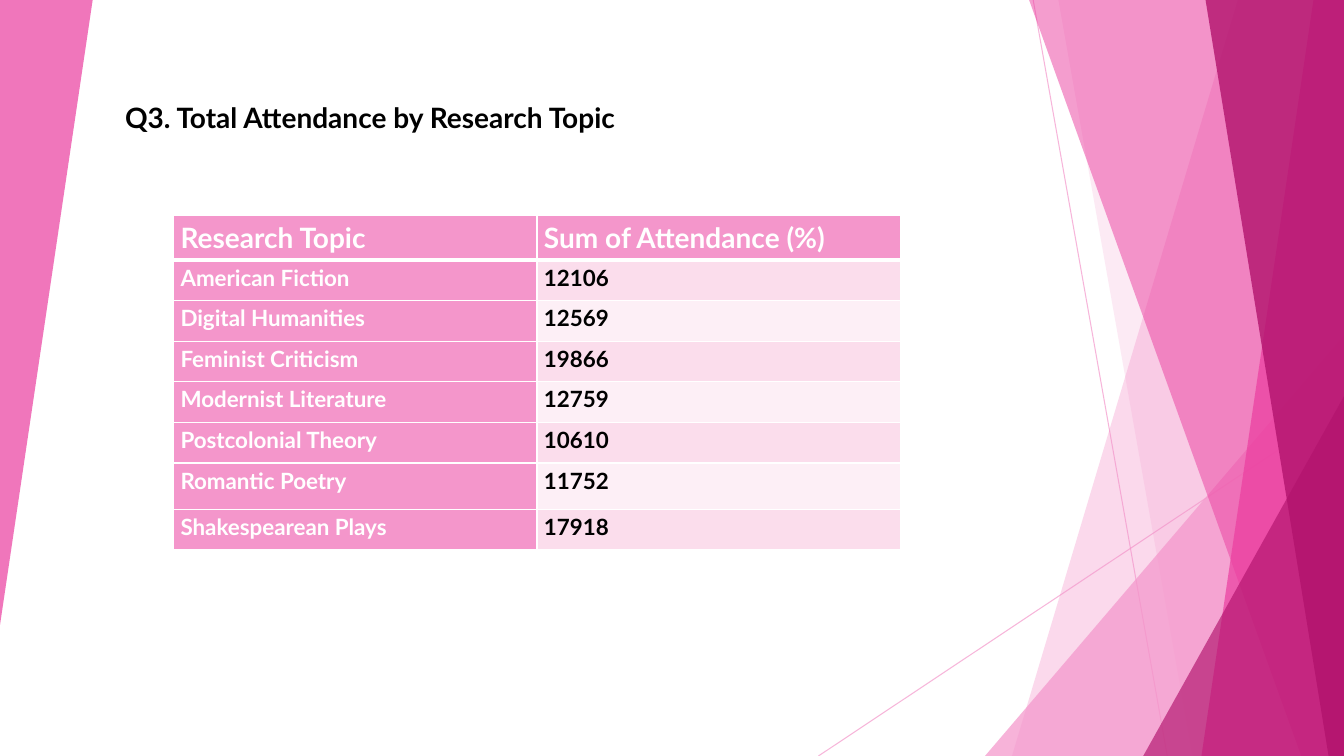
from dataclasses import dataclass
from typing import Union

from lxml.etree import SubElement
from pptx import Presentation
from pptx.dml.color import RGBColor
from pptx.enum.shapes import MSO_CONNECTOR, MSO_SHAPE
from pptx.enum.text import MSO_ANCHOR, MSO_AUTO_SIZE, PP_ALIGN
from pptx.oxml import parse_xml
from pptx.oxml.ns import nsdecls, qn
from pptx.util import Pt

PAGE_WIDTH, PAGE_HEIGHT = 960, 540
FONT = "Lato"
COLOURS = {
    "pink": "F496CB",
    "magenta": "EB3D9F",
    "plum": "B2136D",
    "band_dark": "FBDDEC",
    "band_light": "FDEFF6",
    "white": "FFFFFF",
    "black": "000000",
}


@dataclass
class Ray:
    start: tuple[float, float]
    end: tuple[float, float]


@dataclass
class Facet:
    """A full-height pane that reaches the right edge of the page."""
    top_left: float
    bottom_left: float
    colour: str
    opacity: int


@dataclass
class Wedge:
    """A right triangle with its upright side on the right before rotation."""
    left: float
    top: float
    width: float
    height: float
    colour: str
    opacity: int
    rotation: int = 0


RAYS = [Ray((738, 0), (833.8, 540)), Ray((960, 290.2), (584.6, 540))]
PANES = [
    Facet(884.2, 722.9, "pink", 36),
    Facet(756, 851.8, "pink", 20),
    Wedge(703.6, 239.8, 256.4, 300.2, "pink", 72),
    Facet(735.1, 929.5, "magenta", 50),
    Facet(938.2, 858.2, "magenta", 70),
    Facet(861.1, 949, "plum", 80),
    Wedge(816.6, 283, 143.4, 257, "plum", 66),
    Wedge(0, 0, 66.2, 446.4, "magenta", 70, 180),
]
ATTENDANCE = [
    ("Research Topic", "Sum of Attendance (%)"),
    ("American Fiction", "12106"),
    ("Digital Humanities", "12569"),
    ("Feminist Criticism", "19866"),
    ("Modernist Literature", "12759"),
    ("Postcolonial Theory", "10610"),
    ("Romantic Poetry", "11752"),
    ("Shakespearean Plays", "17918"),
]
ROW_HEIGHTS = [31.6] + [29] * 5 + [33.1, 29]


def rgb(colour: str) -> RGBColor:
    return RGBColor.from_string(COLOURS[colour])


def set_opacity(fill_owner, opacity: int) -> None:
    colour = next(fill_owner.iter(qn("a:srgbClr")))
    SubElement(colour, qn("a:alpha")).set("val", str(opacity * 1000))


def draw_ray(page, ray: Ray) -> None:
    line = page.shapes.add_connector(
        MSO_CONNECTOR.STRAIGHT, *(Pt(value) for value in ray.start + ray.end))
    line.line.color.rgb = rgb("pink")
    line.line.width = Pt(0.75)
    properties = line._element.spPr
    set_opacity(properties, 70)
    SubElement(properties, qn("a:effectLst"))


def draw_pane(page, pane: Union[Facet, Wedge]) -> None:
    if isinstance(pane, Facet):
        outline = page.shapes.build_freeform(Pt(pane.top_left), 0)
        corners = [(PAGE_WIDTH, 0), (PAGE_WIDTH, PAGE_HEIGHT),
                   (pane.bottom_left, PAGE_HEIGHT)]
        outline.add_line_segments([(Pt(x), Pt(y)) for x, y in corners])
        shape = outline.convert_to_shape()
    else:
        shape = page.shapes.add_shape(
            MSO_SHAPE.ISOSCELES_TRIANGLE, Pt(pane.left), Pt(pane.top),
            Pt(pane.width), Pt(pane.height))
        shape.adjustments[0] = 1
        shape.rotation = pane.rotation
    shape.shadow.inherit = False
    shape.fill.solid()
    shape.fill.fore_color.rgb = rgb(pane.colour)
    shape.line.fill.background()
    set_opacity(shape._element.spPr, pane.opacity)


def format_text(frame, size: float, colour: str) -> None:
    for paragraph in frame.paragraphs:
        paragraph.alignment = PP_ALIGN.LEFT
        for span in paragraph.runs:
            span.font.name = FONT
            span.font.size = Pt(size)
            span.font.bold = True
            span.font.color.rgb = rgb(colour)


def write_title(page, text: str) -> None:
    title = page.shapes.title
    title.left, title.top = Pt(82.1), Pt(68.4)
    title.width, title.height = Pt(589), Pt(31.7)
    frame = title.text_frame
    frame.text = text
    frame.word_wrap = True
    frame.auto_size = MSO_AUTO_SIZE.SHAPE_TO_FIT_TEXT
    frame.vertical_anchor = MSO_ANCHOR.TOP
    format_text(frame, 20, "black")


def set_borders(cell, top: float, bottom: float) -> None:
    """Give the cell white edges; the side edges are 1 point wide."""
    properties = cell._tc.get_or_add_tcPr()
    edges = [("lnL", 1), ("lnR", 1), ("lnT", top), ("lnB", bottom)]
    for position, (edge, width) in enumerate(edges):
        properties.insert(position, parse_xml(
            f'<a:{edge} {nsdecls("a")} w="{Pt(width)}"><a:solidFill>'
            f'<a:srgbClr val="{COLOURS["white"]}"/></a:solidFill></a:{edge}>'))


def cell_fill(row: int, column: int) -> str:
    if row == 0 or column == 0:
        return "pink"
    return "band_dark" if row % 2 else "band_light"


def draw_table(page) -> None:
    table = page.shapes.add_table(
        len(ATTENDANCE), 2, Pt(124), Pt(154.2), Pt(519.2),
        Pt(sum(ROW_HEIGHTS))).table
    table.first_col = True
    for row, (texts, height) in enumerate(zip(ATTENDANCE, ROW_HEIGHTS)):
        table.rows[row].height = Pt(height)
        for column, text in enumerate(texts):
            cell = table.cell(row, column)
            cell.margin_left = cell.margin_right = Pt(5)
            cell.margin_top = cell.margin_bottom = 0
            cell.text_frame.text = text
            cell.text_frame.paragraphs[0].line_spacing = 1.15
            fill = cell_fill(row, column)
            format_text(cell.text_frame, 16 if row else 20,
                        "white" if fill == "pink" else "black")
            cell.fill.solid()
            cell.fill.fore_color.rgb = rgb(fill)
            set_borders(cell, 3 if row == 1 else 1, 1 if row else 3)


def main() -> None:
    deck = Presentation()
    deck.slide_width, deck.slide_height = Pt(PAGE_WIDTH), Pt(PAGE_HEIGHT)
    page = deck.slides.add_slide(deck.slide_layouts.get_by_name("Title Only"))
    for ray in RAYS:
        draw_ray(page, ray)
    for pane in PANES:
        draw_pane(page, pane)
    write_title(page, "Q3. Total Attendance by Research Topic")
    draw_table(page)
    deck.save("out.pptx")


if __name__ == "__main__":
    main()
